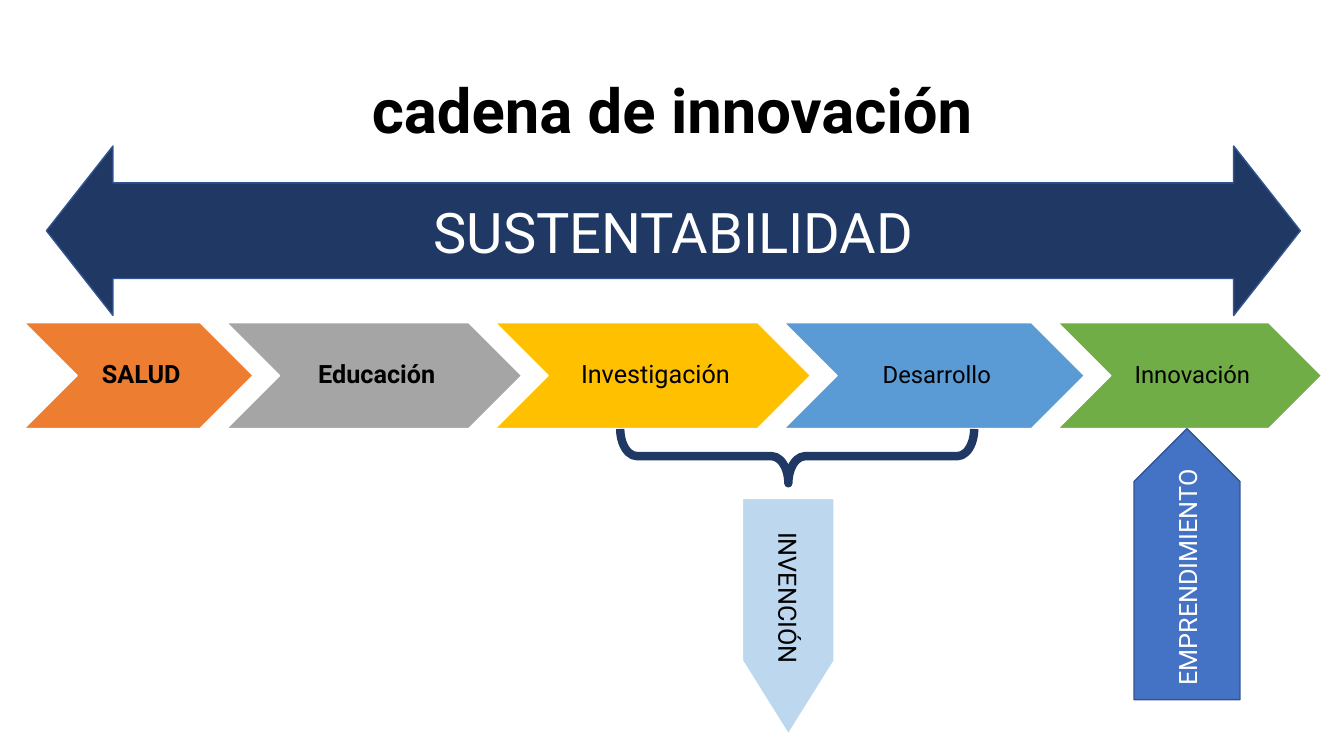
from pptx import Presentation
from pptx.dml.color import RGBColor
from pptx.enum.shapes import MSO_SHAPE
from pptx.enum.text import MSO_ANCHOR, PP_ALIGN
from pptx.util import Cm, Pt

CHEVRON = MSO_SHAPE.CHEVRON
DOUBLE_ARROW = MSO_SHAPE.LEFT_RIGHT_ARROW
BRACE = MSO_SHAPE.RIGHT_BRACE
PENTAGON = MSO_SHAPE.PENTAGON
MIDDLE = MSO_ANCHOR.MIDDLE
CENTER = PP_ALIGN.CENTER

FONT = "Roboto"
COLORS = {
    "black": "000000",
    "white": "FFFFFF",
    "navy": "203864",
    "edge": "325491",
    "orange": "ED7D31",
    "gray": "A5A5A5",
    "gold": "FFC000",
    "sky": "5B9BD5",
    "green": "70AD47",
    "pale": "BDD7EE",
    "blue": "4472C4",
}
STAGES = [
    ("SALUD", 5.77, "orange", 18, True),
    ("Educación", 7.44, "gray", 18, True),
    ("Investigación", 7.95, "gold", 18, False),
    ("Desarrollo", 7.57, "sky", 17, False),
    ("Innovación", 6.65, "green", 17, False),
]
STAGE_OVERLAP = 0.67


def rgb(name):
    return RGBColor.from_string(COLORS[name])


def write(shape, text, size, color="black", bold=False):
    frame = shape.text_frame
    frame.word_wrap = True
    frame.vertical_anchor = MIDDLE
    paragraph = frame.paragraphs[0]
    paragraph.text = text
    paragraph.alignment = CENTER
    font = paragraph.font
    font.name, font.size, font.bold = FONT, Pt(size), bold
    font.color.rgb = rgb(color)
    return paragraph


def draw(slide, kind, box, fill, line, line_width=1, rotation=0, adjustments=()):
    left, top, width, height = box
    if rotation in (90, 270):
        left, top = left + (width - height) / 2, top + (height - width) / 2
        width, height = height, width
    shape = slide.shapes.add_shape(kind, Cm(left), Cm(top), Cm(width), Cm(height))
    shape.rotation = rotation
    shape.shadow.inherit = False
    for index, value in enumerate(adjustments):
        shape.adjustments[index] = value
    if fill:
        shape.fill.solid()
        shape.fill.fore_color.rgb = rgb(fill)
    else:
        shape.fill.background()
    shape.line.color.rgb = rgb(line)
    shape.line.width = Pt(line_width)
    return shape


def add_chain(slide, left, top, height):
    for label, width, color, size, bold in STAGES:
        stage = draw(slide, CHEVRON, (left, top, width, height), color, "white")
        frame = stage.text_frame
        frame.margin_left = Cm(0.2)
        frame.margin_right = frame.margin_top = frame.margin_bottom = Cm(0.07)
        write(stage, label, size, bold=bold).line_spacing = 0.9
        left += width - STAGE_OVERLAP


def add_title(slide, left, top, width, height):
    title = slide.shapes.add_textbox(Cm(left), Cm(top), Cm(width), Cm(height))
    write(title, "cadena de innovación", 44, bold=True).line_spacing = 0.9


def add_sustainability(slide, *box):
    arrow = draw(slide, DOUBLE_ARROW, box, "navy", "edge", adjustments=(0.564, 0.393))
    write(arrow, "SUSTENTABILIDAD", 40, "white")


def add_invention(slide, left, top, width, height):
    brace_height = 1.37
    arrow_width, arrow_height = 2.31, 5.94
    brace_tip = 0.525
    draw(slide, BRACE, (left, top, width, brace_height), None, "navy", 6, 90,
         (0.308, brace_tip))
    arrow_left = left + width * (1 - brace_tip) - arrow_width / 2
    arrow_box = (arrow_left, top + height - arrow_height, arrow_width, arrow_height)
    invention = draw(slide, PENTAGON, arrow_box, "pale", "white", 1, 90, (0.8,))
    write(invention, "INVENCIÓN", 18)


def add_entrepreneurship(slide, *box):
    arrow = draw(slide, PENTAGON, box, "blue", "edge", rotation=270)
    write(arrow, "EMPRENDIMIENTO", 18, "white")


def main():
    deck = Presentation()
    deck.slide_width, deck.slide_height = Cm(33.87), Cm(19.05)
    slide = deck.slides.add_slide(deck.slide_layouts[6])
    add_chain(slide, 0.61, 8.13, 2.67)
    add_title(slide, 2.34, 1.02, 29.21, 3.68)
    add_sustainability(slide, 1.17, 3.68, 31.6, 4.27)
    add_invention(slide, 15.63, 10.81, 8.92, 7.69)
    add_entrepreneurship(slide, 28.58, 10.8, 2.67, 6.83)
    deck.save("out.pptx")


if __name__ == "__main__":
    main()
